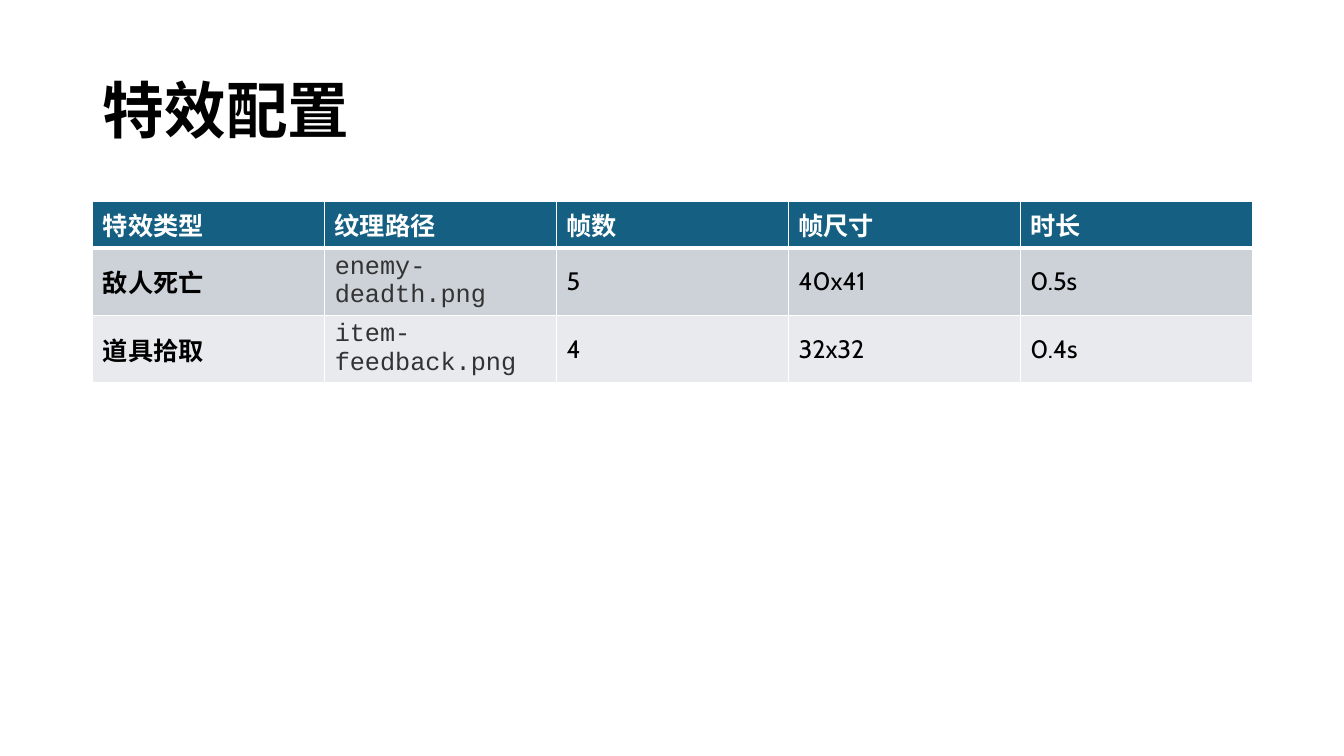
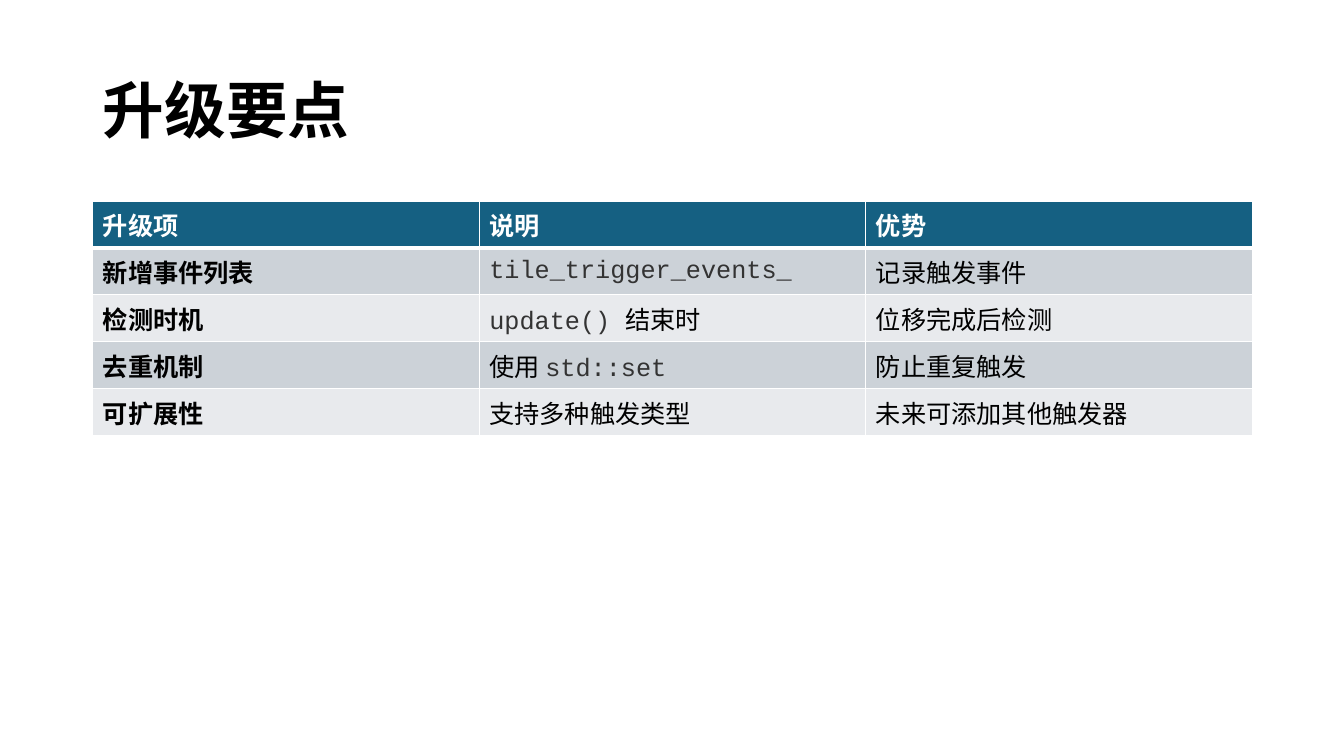
from dataclasses import dataclass

from lxml import etree
from pptx import Presentation
from pptx.dml.color import RGBColor
from pptx.enum.lang import MSO_LANGUAGE_ID
from pptx.enum.text import MSO_ANCHOR, PP_ALIGN
from pptx.oxml.ns import qn
from pptx.util import Inches, Pt

MIDDLE = MSO_ANCHOR.MIDDLE
LEFT = PP_ALIGN.LEFT
CHINESE = MSO_LANGUAGE_ID.SIMPLIFIED_CHINESE

# Shared style
TEXT_FONT, CODE_FONT = "Cabin", "Courier New"
BLACK, WHITE, CODE_GREY = "000000", "FFFFFF", "333333"
HEADER_FILL = "156082"
BAND_FILLS = ("CCD2D8", "E8EAED")
TITLE_SIZE, TABLE_SIZE = 44, 18
THIN, THICK = 1, 3

# Shared layout, in inches
MARGIN, CONTENT_WIDTH = 0.92, 11.5
TITLE_TOP, TITLE_HEIGHT = 0.4, 1.45
TABLE_TOP, ROW_HEIGHT = 2, 0.41
TITLE_ONLY_LAYOUT = 5


@dataclass(frozen=True)
class TableSlide:
    """A title over a table; backticks in a cell enclose code."""
    title: str
    header: tuple[str, ...]
    rows: tuple[tuple[str, ...], ...]


SLIDES = (
    TableSlide(
        "特效配置",
        ("特效类型", "纹理路径", "帧数", "帧尺寸", "时长"),
        (
            ("敌人死亡", "`enemy-deadth.png`", "5", "40x41", "0.5s"),
            ("道具拾取", "`item-feedback.png`", "4", "32x32", "0.4s"),
        ),
    ),
    TableSlide(
        "升级要点",
        ("升级项", "说明", "优势"),
        (
            ("新增事件列表", "`tile_trigger_events_`", "记录触发事件"),
            ("检测时机", "`update() `结束时", "位移完成后检测"),
            ("去重机制", "使用 `std::set`", "防止重复触发"),
            ("可扩展性", "支持多种触发类型", "未来可添加其他触发器"),
        ),
    ),
)


def rgb(hex_color: str) -> RGBColor:
    return RGBColor.from_string(hex_color)


def set_font(font, size: int, color: str, bold: bool) -> None:
    font.name = TEXT_FONT
    font.size = Pt(size)
    font.bold = bold
    font.color.rgb = rgb(color)
    font.language_id = CHINESE


def set_borders(cell, top: int, bottom: int) -> None:
    properties = cell._tc.get_or_add_tcPr()
    widths = {"lnL": THIN, "lnR": THIN, "lnT": top, "lnB": bottom}
    for side, width in widths.items():
        line = etree.SubElement(properties, qn(f"a:{side}"), w=str(Pt(width)))
        fill = etree.SubElement(line, qn("a:solidFill"))
        etree.SubElement(fill, qn("a:srgbClr"), val=WHITE)


def write_cell(cell, text: str, row: int, column: int) -> None:
    is_header = row == 0
    set_borders(cell, THICK if row == 1 else THIN, THICK if is_header else THIN)
    cell.fill.solid()
    band = BAND_FILLS[(row - 1) % len(BAND_FILLS)]
    cell.fill.fore_color.rgb = rgb(HEADER_FILL if is_header else band)
    cell.vertical_anchor = MIDDLE

    paragraph = cell.text_frame.paragraphs[0]
    set_font(paragraph.font, TABLE_SIZE, WHITE if is_header else BLACK,
             is_header or column == 0)
    for index, part in enumerate(text.split("`")):
        if not part:
            continue
        run = paragraph.add_run()
        run.text = part
        if index % 2:  # code lies between backticks
            run.font.name = CODE_FONT
            run.font.color.rgb = rgb(CODE_GREY)


def add_title(slide, text: str) -> None:
    title = slide.shapes.title
    title.left, title.top = Inches(MARGIN), Inches(TITLE_TOP)
    title.width, title.height = Inches(CONTENT_WIDTH), Inches(TITLE_HEIGHT)
    title.text_frame.text = text
    title.text_frame.vertical_anchor = MIDDLE
    paragraph = title.text_frame.paragraphs[0]
    paragraph.alignment = LEFT
    paragraph.line_spacing = 0.9
    set_font(paragraph.font, TITLE_SIZE, BLACK, True)


def add_content_table(slide, content: TableSlide) -> None:
    lines = (content.header, *content.rows)
    table = slide.shapes.add_table(
        len(lines), len(content.header), Inches(MARGIN), Inches(TABLE_TOP),
        Inches(CONTENT_WIDTH), Inches(ROW_HEIGHT * len(lines))).table
    table.horz_banding = False
    for row, line in enumerate(lines):
        for column, text in enumerate(line):
            write_cell(table.cell(row, column), text, row, column)


def main() -> None:
    deck = Presentation()
    deck.slide_width, deck.slide_height = Inches(13.33), Inches(7.5)
    for content in SLIDES:
        slide = deck.slides.add_slide(deck.slide_layouts[TITLE_ONLY_LAYOUT])
        add_title(slide, content.title)
        add_content_table(slide, content)
    deck.save("out.pptx")


if __name__ == "__main__":
    main()
